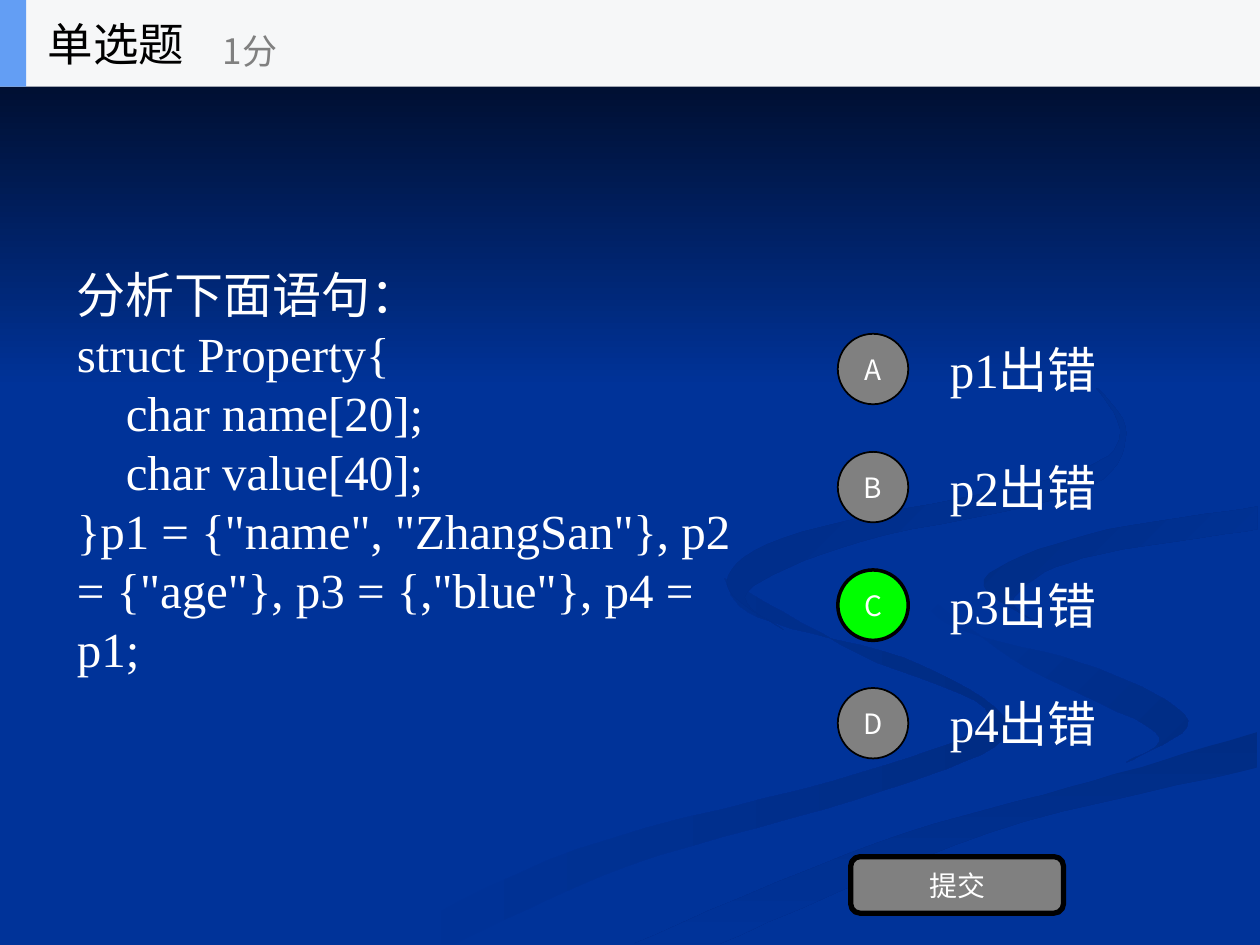
from dataclasses import dataclass

import pptx
import pptx.dml.color
import pptx.enum.shapes
import pptx.enum.text
import pptx.oxml
import pptx.oxml.ns
import pptx.util
from pptx.util import Cm, Pt

SHAPES = pptx.enum.shapes.MSO_SHAPE
ALIGN = pptx.enum.text.PP_ALIGN


@dataclass(frozen=True)
class Theme:
    blue: str = "003399"
    shade: str = "002C84"
    night: str = "000514"
    band: str = "F6F7F8"
    accent: str = "639EF4"
    grey: str = "808080"
    correct: str = "00FF00"
    white: str = "FFFFFF"
    black: str = "000000"
    serif: str = "Times New Roman"
    sans: str = "Noto Sans CJK SC"
    body: int = 28
    title: int = 26
    score: int = 20
    button: int = 16
    leading: float = 33.7


@dataclass(frozen=True)
class Box:
    """A rectangle in centimetres."""
    left: float
    top: float
    width: float
    height: float

    def inner(self, left, top, width, height):
        return Box(self.left + left, self.top + top, width, height)

    def emu(self):
        return [Cm(v) for v in (self.left, self.top, self.width, self.height)]


THEME = Theme()
QUESTION = [
    "分析下面语句：",
    "struct Property{",
    "    char name[20];",
    "    char value[40];",
    '}p1 = {"name", "ZhangSan"}, p2 = {"age"}, p3 = {,"blue"}, p4 = p1;',
]
OPTIONS = [("A", "p1出错"), ("B", "p2出错"), ("C", "p3出错"), ("D", "p4出错")]
ANSWER = "C"

# First colour, last colour, clockwise angle, then two edges in thousandths of the width.
RIBBONS = [
    (THEME.blue, THEME.shade, 0,
     [(300, 749), (458, 674), (684, 613), (785, 568), (682, 519), (575, 459)],
     [(575, 459), (602, 490), (731, 528), (800, 581), (699, 628), (499, 687), (361, 749)]),
    (THEME.blue, THEME.shade, 45,
     [(724, 464), (815, 530), (917, 581), (894, 605)],
     [(894, 605), (943, 572), (870, 530), (758, 498), (724, 464)]),
    (THEME.shade, THEME.blue, 90,
     [(503, 749), (696, 669), (867, 620), (998, 581)],
     [(998, 609), (785, 661), (571, 749)]),
    (THEME.shade, THEME.blue, 45,
     [(826, 496), (781, 460), (865, 424), (998, 402)],
     [(998, 420), (859, 443), (805, 474), (826, 496)]),
    (THEME.shade, THEME.blue, 45,
     [(864, 300), (889, 345), (842, 378), (637, 422), (577, 462), (622, 500)],
     [(622, 500), (593, 470), (683, 430), (855, 391), (894, 344), (864, 300)]),
]


def rgb(code):
    return pptx.dml.color.RGBColor.from_string(code)


def smooth_edge(points, steps=8):
    """Sample a Catmull-Rom curve that passes through the points."""
    padded = [points[0], *points, points[-1]]
    curve = []
    for a, b, c, d in zip(padded, padded[1:], padded[2:], padded[3:]):
        for step in range(steps):
            t = step / steps
            curve.append(tuple(
                q + t / 2 * (r - p + t * (2 * p - 5 * q + 4 * r - s
                                          + t * (3 * (q - r) + s - p)))
                for p, q, r, s in zip(a, b, c, d)))
    return curve + [points[-1]]


def fill_gradient(shape, first, last, clockwise):
    shape.fill.gradient()
    shape.fill.gradient_angle = 360 - clockwise
    for stop, colour, position in zip(shape.fill.gradient_stops, (first, last), (0, 1)):
        stop.color.rgb = rgb(colour)
        stop.position = position


def add_preset(page, kind, box, fill=None, outline=0):
    shape = page.shapes.add_shape(kind, *box.emu())
    shape.shadow.inherit = False
    if fill:
        shape.fill.solid()
        shape.fill.fore_color.rgb = rgb(fill)
    if outline:
        shape.line.color.rgb = rgb(THEME.black)
        shape.line.width = Pt(outline)
    else:
        shape.line.fill.background()
    return shape


def write(shape, lines, font, size, colour, align=ALIGN.LEFT, leading=None):
    frame = shape.text_frame
    frame.word_wrap = True
    frame.vertical_anchor = pptx.enum.text.MSO_ANCHOR.MIDDLE
    for index, line in enumerate(lines):
        para = frame.add_paragraph() if index else frame.paragraphs[0]
        para.text = line
        para.alignment = align
        if leading:
            para.line_spacing = Pt(leading)
        para.font.size = Pt(size)
        para.font.color.rgb = rgb(colour)
        para.font.name = font
        defaults = para._p.pPr.find(pptx.oxml.ns.qn("a:defRPr"))
        east_asian = pptx.oxml.parse_xml(
            f'<a:ea {pptx.oxml.ns.nsdecls("a")} typeface="{THEME.sans}"/>')
        defaults.append(east_asian)


def add_text(page, box, lines, *style, **options):
    write(page.shapes.add_textbox(*box.emu()), lines, *style, **options)


def draw_backdrop(page, box):
    page.background.fill.solid()
    page.background.fill.fore_color.rgb = rgb(THEME.blue)
    for first, last, angle, *edges in RIBBONS:
        outline = [point for edge in edges for point in smooth_edge(edge)]
        builder = page.shapes.build_freeform(*outline[0], scale=Cm(box.width) / 1000)
        builder.add_line_segments(outline[1:])
        ribbon = builder.convert_to_shape(Cm(box.left), Cm(box.top))
        ribbon.shadow.inherit = False
        ribbon.line.fill.background()
        fill_gradient(ribbon, first, last, angle)
    sky = add_preset(page, SHAPES.RECTANGLE, box.inner(0, 0, box.width, 7.82))
    fill_gradient(sky, THEME.night, THEME.blue, 90)


def draw_question(page, box):
    add_text(page, box, QUESTION, THEME.serif, THEME.body, THEME.white,
             leading=THEME.leading)


def draw_options(page, box):
    pitch, diameter, label_height = 2.38, 1.42, 1.78
    for row, (letter, label) in enumerate(OPTIONS):
        top = row * pitch
        add_text(page, box.inner(2.01, top, 4.62, label_height), [label],
                 THEME.serif, THEME.body, THEME.white, leading=THEME.leading)
        chosen = letter == ANSWER
        circle = add_preset(
            page, SHAPES.OVAL,
            box.inner(0, top + (label_height - diameter) / 2, diameter, diameter),
            THEME.correct if chosen else THEME.grey, 2 if chosen else 1)
        write(circle, [letter], THEME.sans, THEME.button, THEME.white, ALIGN.CENTER)


def draw_submit(page, box):
    button = add_preset(page, SHAPES.ROUNDED_RECTANGLE, box, THEME.grey, 3)
    write(button, ["提交"], THEME.sans, THEME.button, THEME.white, ALIGN.CENTER)


def draw_header(page, box):
    add_preset(page, SHAPES.RECTANGLE, box, THEME.band)
    add_preset(page, SHAPES.RECTANGLE, box.inner(0, 0, 0.53, box.height), THEME.accent)
    add_text(page, box.inner(0.71, 0, 5.28, box.height), ["单选题"],
             THEME.sans, THEME.title, THEME.black)
    add_text(page, box.inner(4.24, 0.3, 6.35, 1.42), ["1分"],
             THEME.sans, THEME.score, THEME.grey)


def main():
    deck = pptx.Presentation()
    deck.slide_width, deck.slide_height = Cm(25.4), Cm(19.05)
    page = deck.slides.add_slide(deck.slide_layouts[6])
    draw_backdrop(page, Box(0, 0, 25.4, 19.05))
    draw_question(page, Box(1.3, 1.75, 14.4, 15.49))
    draw_options(page, Box(16.89, 6.55, 6.63, 8.92))
    draw_submit(page, Box(17.15, 17.27, 4.29, 1.14))
    draw_header(page, Box(0, 0, 25.4, 1.75))
    deck.save("out.pptx")


if __name__ == "__main__":
    main()
